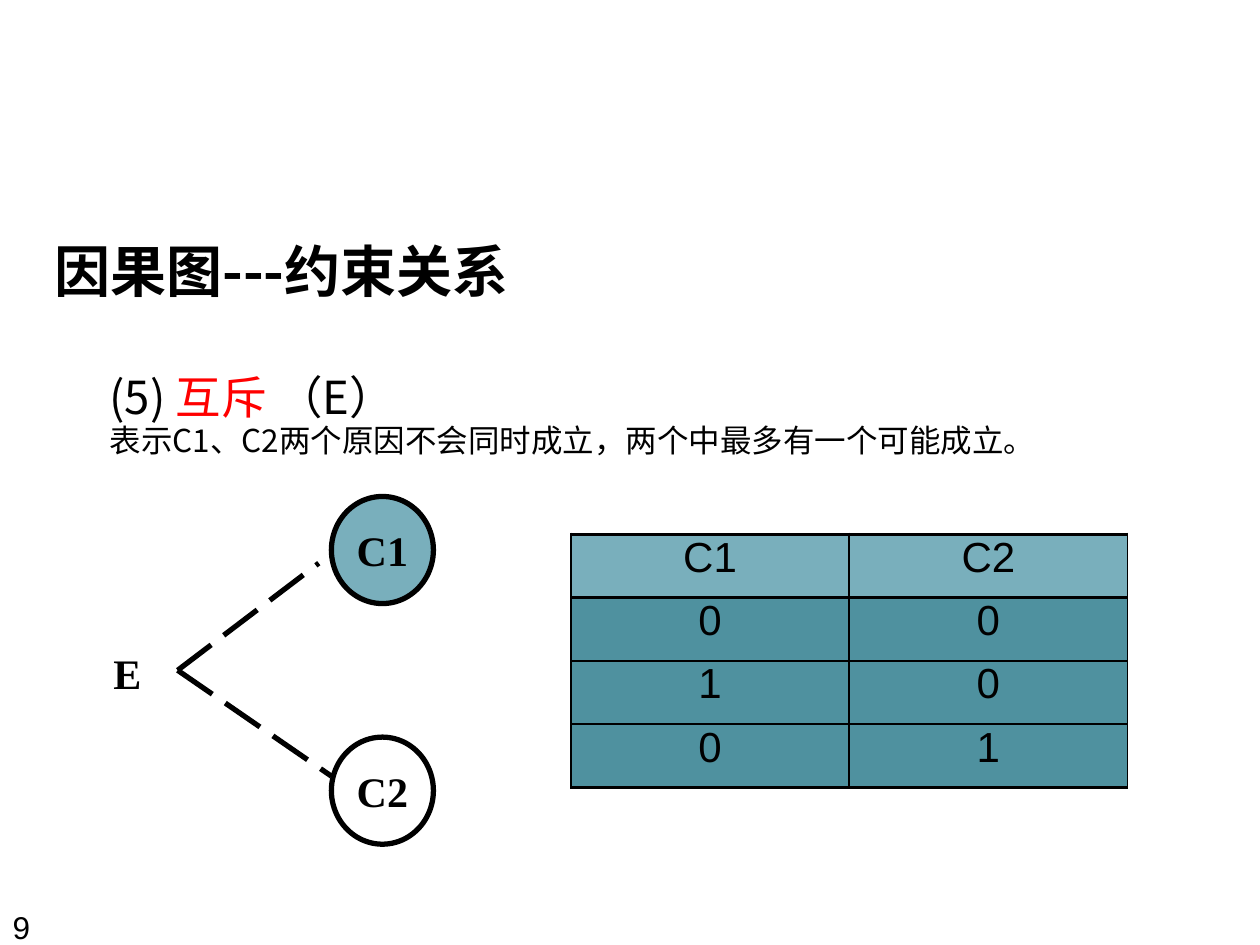
import pptx
import pptx.dml.color
import pptx.enum.dml
import pptx.enum.shapes
import pptx.enum.text
import pptx.oxml
import pptx.oxml.ns
import pptx.util
from pptx.util import Inches, Pt

ALIGN = pptx.enum.text.PP_ALIGN
ANCHOR = pptx.enum.text.MSO_ANCHOR
BLACK, WHITE, RED = "000000", "FFFFFF", "FF0000"
LIGHT_TEAL, DARK_TEAL = "79AFBC", "4F919F"
CJK, SANS, SERIF = "Noto Sans CJK SC", "Arial", "Times New Roman"


def rgb(value):
    return pptx.dml.color.RGBColor.from_string(value)


def set_cell_border(cell, side, width):
    line = pptx.oxml.parse_xml(
        f'<a:{side} {pptx.oxml.ns.nsdecls("a")} w="{Pt(width)}">'
        f'<a:solidFill><a:srgbClr val="{BLACK}"/></a:solidFill></a:{side}>')
    properties = cell._tc.get_or_add_tcPr()
    # Borders come before the fill in a cell's properties.
    properties.insert(len(properties.findall(pptx.oxml.ns.qn("a:*"))), line)


class ConstraintSlide:
    def __init__(self, presentation):
        self.slide = presentation.slides.add_slide(presentation.slide_layouts[5])
        self.shapes = self.slide.shapes

    def frame(self, shape, anchor=ANCHOR.TOP):
        """Return the shape's text frame, wrapped and without insets."""
        frame = shape.text_frame
        frame.word_wrap = True
        frame.auto_size = pptx.enum.text.MSO_AUTO_SIZE.NONE
        frame.vertical_anchor = anchor
        frame.margin_left = frame.margin_top = 0
        frame.margin_right = frame.margin_bottom = 0
        return frame

    def style(self, paragraph, size, font, bold=False, align=ALIGN.LEFT):
        paragraph.alignment = align
        paragraph.font.size = Pt(size)
        paragraph.font.name = font
        paragraph.font.bold = bold
        paragraph.font.color.rgb = rgb(BLACK)
        for run in paragraph.runs:
            if font == CJK:
                properties = run._r.get_or_add_rPr()
                properties.append(pptx.oxml.parse_xml(
                    f'<a:ea {pptx.oxml.ns.nsdecls("a")} typeface="{font}"/>'))

    def title(self, words, left, top, width, height):
        title = self.shapes.title
        title.left, title.top = Inches(left), Inches(top)
        title.width, title.height = Inches(width), Inches(height)
        frame = self.frame(title)
        frame.text = words
        self.style(frame.paragraphs[0], 32, CJK, bold=True)

    def text(self, words, left, top, width, height, size, font, bold=False):
        box = self.shapes.add_textbox(
            Inches(left), Inches(top), Inches(width), Inches(height))
        frame = self.frame(box)
        frame.text = words
        for paragraph in frame.paragraphs:
            self.style(paragraph, size, font, bold)
        return frame

    def cause(self, name, left, top, fill):
        circle = self.shapes.add_shape(
            pptx.enum.shapes.MSO_SHAPE.OVAL,
            Inches(left), Inches(top), Inches(0.81), Inches(0.85))
        circle.shadow.inherit = False
        circle.fill.solid()
        circle.fill.fore_color.rgb = rgb(fill)
        circle.line.color.rgb = rgb(BLACK)
        circle.line.width = Pt(3)
        frame = self.frame(circle, ANCHOR.MIDDLE)
        frame.text = name
        self.style(frame.paragraphs[0], 24, SERIF, True, ALIGN.CENTER)

    def dashed_line(self, start, end):
        line = self.shapes.add_connector(
            pptx.enum.shapes.MSO_CONNECTOR.STRAIGHT, *map(Inches, start + end))
        line.line.color.rgb = rgb(BLACK)
        line.line.width = Pt(3)
        line.line.dash_style = pptx.enum.dml.MSO_LINE.LONG_DASH
        line._element.spPr.append(pptx.oxml.parse_xml(
            f'<a:effectLst {pptx.oxml.ns.nsdecls("a")}/>'))

    def truth_table(self, rows, left, top, width, height):
        table = self.shapes.add_table(
            len(rows), len(rows[0]), Inches(left), Inches(top),
            Inches(width), Inches(height)).table
        thick_edges = (0, 1, len(rows))
        for r, row in enumerate(rows):
            for c, value in enumerate(row):
                cell = table.cell(r, c)
                cell.margin_left = cell.margin_right = 0
                cell.margin_top = cell.margin_bottom = 0
                cell.text = value
                self.style(cell.text_frame.paragraphs[0], 24, SANS,
                           align=ALIGN.CENTER)
                for side, edge in (("lnL", None), ("lnR", None),
                                   ("lnT", r), ("lnB", r + 1)):
                    set_cell_border(cell, side, 2.25 if edge in thick_edges else 1)
                cell.fill.solid()
                cell.fill.fore_color.rgb = rgb(DARK_TEAL if r else LIGHT_TEAL)


def main():
    presentation = pptx.Presentation()
    presentation.slide_width, presentation.slide_height = Inches(10), Inches(7.5)
    page = ConstraintSlide(presentation)

    page.title("因果图---约束关系", 0.43, 1.88, 8.5, 0.55)
    page.text("9", 0.1, 7.21, 1, 0.29, 18, SANS)

    heading = page.text("", 0.87, 2.93, 8, 0.9, 26, CJK)
    constraint = heading.paragraphs[0]
    for words, color in (("(5) ", BLACK), ("互斥 ", RED), ("（E）", BLACK)):
        run = constraint.add_run()
        run.text = words
        run.font.color.rgb = rgb(color)
    page.style(constraint, 26, CJK)
    meaning = heading.add_paragraph()
    meaning.text = "表示C1、C2两个原因不会同时成立，两个中最多有一个可能成立。"
    meaning.space_before = Pt(2.5)
    meaning.line_spacing = 0.8
    page.style(meaning, 18, CJK)

    page.cause("C1", 2.63, 3.94, LIGHT_TEAL)
    page.cause("C2", 2.63, 5.85, WHITE)
    page.text("E", 0.9, 5.14, 0.4, 0.4, 24, SERIF, bold=True)
    fork = (1.41, 5.32)
    page.dashed_line(fork, (2.53, 4.47))
    page.dashed_line(fork, (2.63, 6.16))

    page.truth_table([("C1", "C2"), ("0", "0"), ("1", "0"), ("0", "1")],
                     4.53, 4.24, 4.42, 2.01)
    presentation.save("out.pptx")


if __name__ == "__main__":
    main()
